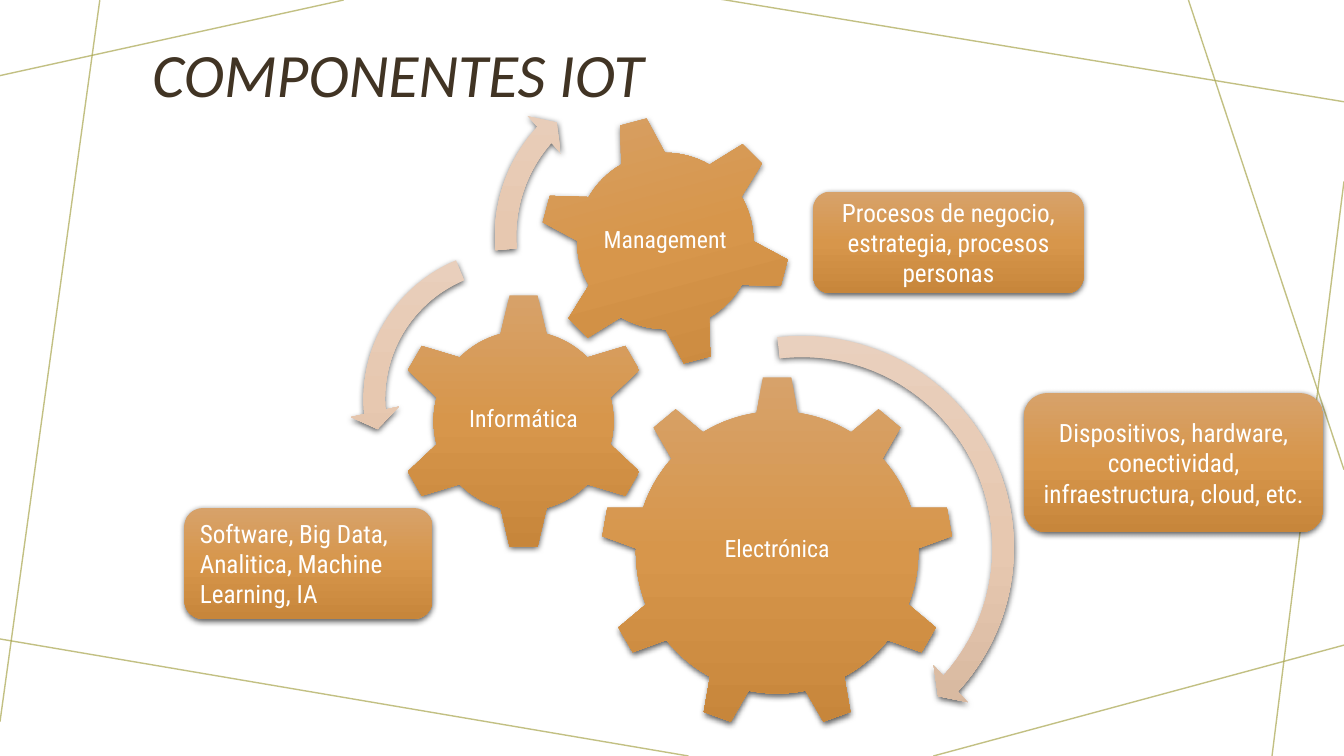
from copy import deepcopy

from lxml import etree
from pptx import Presentation
from pptx.dml.color import RGBColor
from pptx.enum import shapes, text
from pptx.oxml.ns import qn
from pptx.util import Pt

SLIDE = (960, 540)
COLORS = {"title": "413424", "label": "FFFFFF", "web": "A9A64F", "shadow": "000000"}
GRADIENTS = {
    "bronze": ("D7A26A", "D7964B", "C7863B"),
    "sand": ("E9D0BE", "E7C8B0", "D1B299"),
}
KIND = shapes.MSO_SHAPE
ALIGN = text.PP_ALIGN

TITLE = "COMPONENTES IOT"
TITLE_BOX = (101.5, 1.4, 779.8, 108.7)

# x1, y1, x2, y2
WEB_LINES = [
    (245.5, 0, 0, 54),
    (71.3, 0, 0, 515.5),
    (491.8, 540, -3.6, 455.8),
    (960, 460.8, 666.7, 540),
    (960, 129.6, 908.6, 540),
    (960, 335.5, 848.9, 0),
    (960, 72.7, 514.1, -0.7),
]

# name, kind, left, top, diameter, rotation, label width, label height, label lift
GEARS = [
    ("Electrónica", KIND.GEAR_9, 429.1, 268.6, 252, 0, 151.2, 129.6, 2.2),
    ("Informática", KIND.GEAR_6, 282.2, 208.8, 183.6, 0, 91.4, 90.7, 0.4),
    ("Management", KIND.GEAR_6, 385.2, 82.1, 180, -15, 100.8, 100.8, 0),
]

# kind, left, top, diameter, adjustments
TURN_ARROWS = [
    (KIND.CIRCULAR_ARROW, 411.1, 229.7, 323.3, (0.047, 2.99, 25.45, 158.004, 0.055)),
    (KIND.LEFT_CIRCULAR_ARROW, 249.8, 167.8, 234.7, (0.065, 4.3, 104.891, 148.378, 0.075)),
    (KIND.CIRCULAR_ARROW, 343.4, 42.5, 252.7, (0.06, 3.941, 133.138, 105.082, 0.07)),
]

# text, kind, box, alignment
NOTES = [
    ("Dispositivos, hardware, conectividad, infraestructura, cloud, etc.",
     KIND.ROUNDED_RECTANGLE, (731.5, 280.8, 213.8, 99.4), ALIGN.CENTER),
    ("Software, Big Data, Analitica, Machine Learning, IA",
     KIND.FLOWCHART_ALTERNATE_PROCESS, (131.8, 362.9, 177.1, 79.2), ALIGN.LEFT),
    ("Procesos de negocio, estrategia, procesos personas",
     KIND.FLOWCHART_ALTERNATE_PROCESS, (581, 136.8, 193, 72.7), ALIGN.CENTER),
]


def points(values):
    return [Pt(value) for value in values]


def write(shape, words, color, align, spacing=1.0, inset=None, **font):
    frame = shape.text_frame
    frame.word_wrap = True
    frame.auto_size = text.MSO_AUTO_SIZE.NONE
    frame.vertical_anchor = text.MSO_ANCHOR.MIDDLE
    if inset is not None:
        for side in ("left", "top", "right", "bottom"):
            setattr(frame, f"margin_{side}", Pt(inset))
    paragraph = frame.paragraphs[0]
    paragraph.alignment = align
    paragraph.line_spacing = spacing
    run = paragraph.add_run()
    run.text = words
    for key, value in font.items():
        setattr(run.font, key, value)
    run.font.color.rgb = RGBColor.from_string(COLORS[color])


def add_alpha(color_element, percent):
    etree.SubElement(color_element, qn("a:alpha"), val=str(percent * 1000))


def add_glossy(slide, kind, box, gradient):
    """Add a preset with a three-stop vertical gradient and a soft shadow."""
    shape = slide.shapes.add_shape(kind, *points(box))
    shape.line.fill.background()
    shape.fill.gradient()
    shape.fill.gradient_angle = 270
    properties = shape._element.spPr
    stops = properties.find(qn("a:gradFill")).find(qn("a:gsLst"))
    stops.insert(1, deepcopy(stops[0]))
    for index, color in enumerate(GRADIENTS[gradient]):
        stop = shape.fill.gradient_stops[index]
        stop.position = index / 2
        stop.color.rgb = RGBColor.from_string(color)
    shape.shadow.inherit = False
    shadow = etree.SubElement(
        properties.find(qn("a:effectLst")), qn("a:outerShdw"),
        blurRad=str(Pt(4.5)), dist=str(Pt(1.5)), dir="5400000",
        algn="ctr", rotWithShape="0")
    add_alpha(etree.SubElement(shadow, qn("a:srgbClr"), val=COLORS["shadow"]), 63)
    return shape


def add_web_line(slide, ends):
    line = slide.shapes.add_connector(shapes.MSO_CONNECTOR.STRAIGHT, *points(ends))
    line.line.width = Pt(1)
    line.line.color.rgb = RGBColor.from_string(COLORS["web"])
    properties = line._element.spPr
    add_alpha(next(properties.iter(qn("a:srgbClr"))), 70)
    etree.SubElement(properties, qn("a:effectLst"))


def add_gear(slide, name, kind, left, top, size, rotation, width, height, lift):
    gear = add_glossy(slide, kind, (left, top, size, size), "bronze")
    gear.rotation = rotation
    label_box = (left + (size - width) / 2, top + (size - height) / 2 - lift, width, height)
    label = slide.shapes.add_textbox(*points(label_box))
    write(label, name, "label", ALIGN.CENTER, spacing=0.9, inset=1.4,
          name="Roboto Condensed", size=Pt(17))


def main():
    deck = Presentation()
    deck.slide_width, deck.slide_height = points(SLIDE)
    slide = deck.slides.add_slide(deck.slide_layouts[5])

    title = slide.shapes.title
    title.left, title.top, title.width, title.height = points(TITLE_BOX)
    write(title, TITLE, "title", ALIGN.LEFT, spacing=0.9,
          name="Calibri", size=Pt(44), italic=True)

    for ends in WEB_LINES:
        add_web_line(slide, ends)
    for gear in GEARS:
        add_gear(slide, *gear)
    for kind, left, top, size, adjustments in TURN_ARROWS:
        arrow = add_glossy(slide, kind, (left, top, size, size), "sand")
        for index, value in enumerate(adjustments):
            arrow.adjustments[index] = value
    for words, kind, box, align in NOTES:
        note = add_glossy(slide, kind, box, "bronze")
        write(note, words, "label", align, name="Roboto Condensed", size=Pt(18))

    deck.save("out.pptx")


if __name__ == "__main__":
    main()
